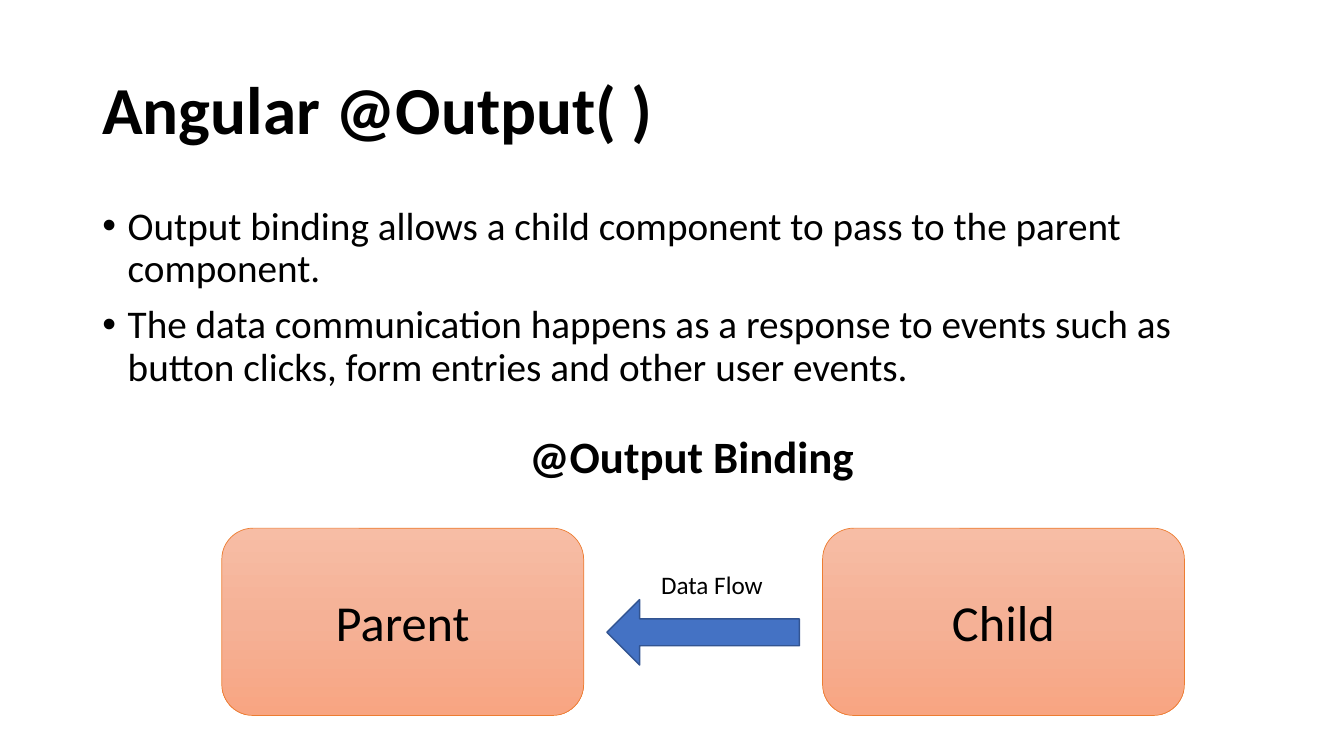
from copy import deepcopy

from pptx import Presentation
from pptx.dml.color import RGBColor
from pptx.enum.shapes import MSO_SHAPE as Shape
from pptx.enum.text import MSO_ANCHOR as Anchor, PP_ALIGN as Align
from pptx.oxml.ns import qn
from pptx.oxml.xmlchemy import OxmlElement
from pptx.util import Cm, Pt

TITLE = "Angular @Output( )"
BULLETS = [
    "Output binding allows a child component to pass to the parent component.",
    "The data communication happens as a response to events such as "
    "button clicks, form entries and other user events.",
]
DIAGRAM_TITLE = "@Output Binding"
COMPONENTS = ["Parent", "Child"]
FLOW_LABEL = "Data Flow"

FONT = "Calibri"
COLORS = {
    "text": "000000",
    "box_line": "ED7D31",
    "arrow": "4472C4",
    "arrow_line": "325491",
}
BOX_GRADIENT = [(0, "F7BDA5"), (0.5, "F5B196"), (1, "F8A582")]

MARGIN, CONTENT_WIDTH = 2.33, 29.21
BOX_LEFT, BOX_TOP, BOX_WIDTH, BOX_HEIGHT = 5.59, 13.31, 9.12, 4.72
BOX_STEP = 15.14
ARROW_WIDTH, ARROW_HEIGHT, ARROW_TOP = 4.85, 1.65, 15.11
BULLET_INDENT = Cm(0.64)


def rgb(name):
    return RGBColor.from_string(COLORS[name])


def write(shape, lines, size, bold=False, align=Align.LEFT, anchor=Anchor.TOP, spacing=1):
    frame = shape.text_frame
    frame.word_wrap = True
    frame.vertical_anchor = anchor
    frame.text = "\n".join(lines)
    for paragraph in frame.paragraphs:
        paragraph.alignment = align
        paragraph.line_spacing = spacing
        font = paragraph.font
        font.name, font.size, font.bold = FONT, Pt(size), bold
        font.color.rgb = rgb("text")
    return frame.paragraphs


def add_text(slide, box, lines, size, **style):
    return write(slide.shapes.add_textbox(*map(Cm, box)), lines, size, **style)


def add_bullet(paragraph):
    paragraph.space_before = Pt(10)
    properties = paragraph._p.get_or_add_pPr()
    properties.set("marL", str(BULLET_INDENT))
    properties.set("indent", str(-BULLET_INDENT))
    font = OxmlElement("a:buFont")
    font.set("typeface", "Arial")
    bullet = OxmlElement("a:buChar")
    bullet.set("char", "•")
    defaults = properties.find(qn("a:defRPr"))
    defaults.addprevious(font)
    defaults.addprevious(bullet)


def add_shape(slide, kind, box, line, width):
    shape = slide.shapes.add_shape(kind, *map(Cm, box))
    shape.shadow.inherit = False
    shape.line.color.rgb = rgb(line)
    shape.line.width = Pt(width)
    return shape


def fill_gradient(shape):
    shape.fill.gradient()
    shape.fill.gradient_angle = 270
    stops = shape._element.spPr.find(qn("a:gradFill")).find(qn("a:gsLst"))
    stops.insert(1, deepcopy(stops[0]))
    for stop, (position, color) in zip(shape.fill.gradient_stops, BOX_GRADIENT):
        stop.position = position
        stop.color.rgb = RGBColor.from_string(color)


def main():
    """Build the slide on Angular output binding."""
    presentation = Presentation()
    presentation.slide_width, presentation.slide_height = Cm(33.87), Cm(19.05)
    slide = presentation.slides.add_slide(presentation.slide_layouts[6])

    add_text(slide, (MARGIN, 1.01, CONTENT_WIDTH, 3.68), [TITLE], 48,
             bold=True, anchor=Anchor.MIDDLE, spacing=0.9)
    body = (MARGIN, 5.07, CONTENT_WIDTH, 12.09)
    for paragraph in add_text(slide, body, BULLETS, 28, spacing=0.9):
        add_bullet(paragraph)

    for index, name in enumerate(COMPONENTS):
        box = (BOX_LEFT + index * BOX_STEP, BOX_TOP, BOX_WIDTH, BOX_HEIGHT)
        component = add_shape(slide, Shape.ROUNDED_RECTANGLE, box, "box_line", 0.5)
        fill_gradient(component)
        write(component, [name], 36, align=Align.CENTER, anchor=Anchor.MIDDLE)

    arrow_left = BOX_LEFT + (BOX_STEP + BOX_WIDTH - ARROW_WIDTH) / 2
    arrow_box = (arrow_left, ARROW_TOP, ARROW_WIDTH, ARROW_HEIGHT)
    arrow = add_shape(slide, Shape.LEFT_ARROW, arrow_box, "arrow_line", 1)
    arrow.adjustments[0] = 0.41
    arrow.fill.solid()
    arrow.fill.fore_color.rgb = rgb("arrow")

    add_text(slide, (16.41, 14.22, 3.96, 1.02), [FLOW_LABEL], 18)
    add_text(slide, (13.03, 10.69, 8.81, 1.63), [DIAGRAM_TITLE], 32,
             bold=True, align=Align.CENTER)
    presentation.save("out.pptx")


if __name__ == "__main__":
    main()
